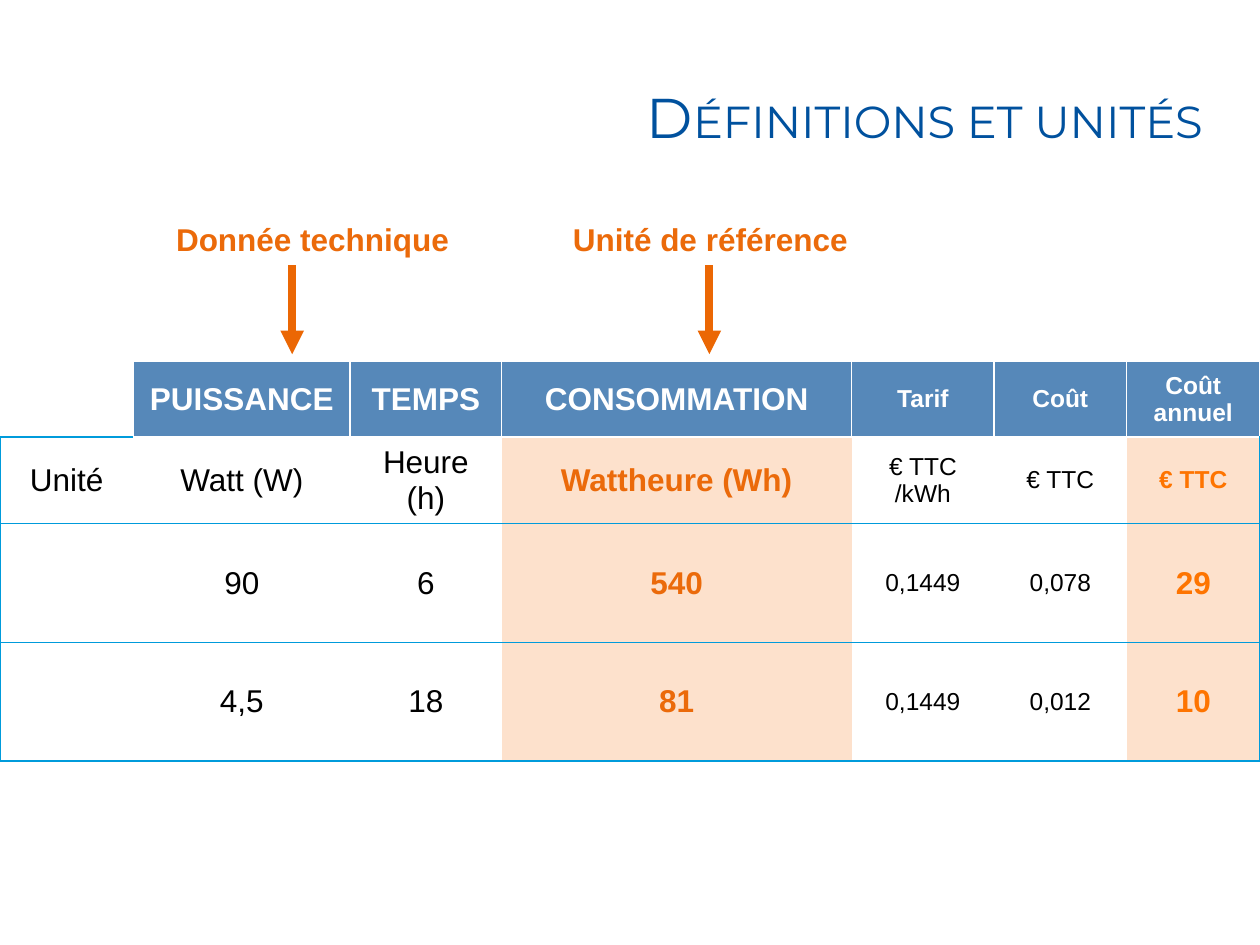
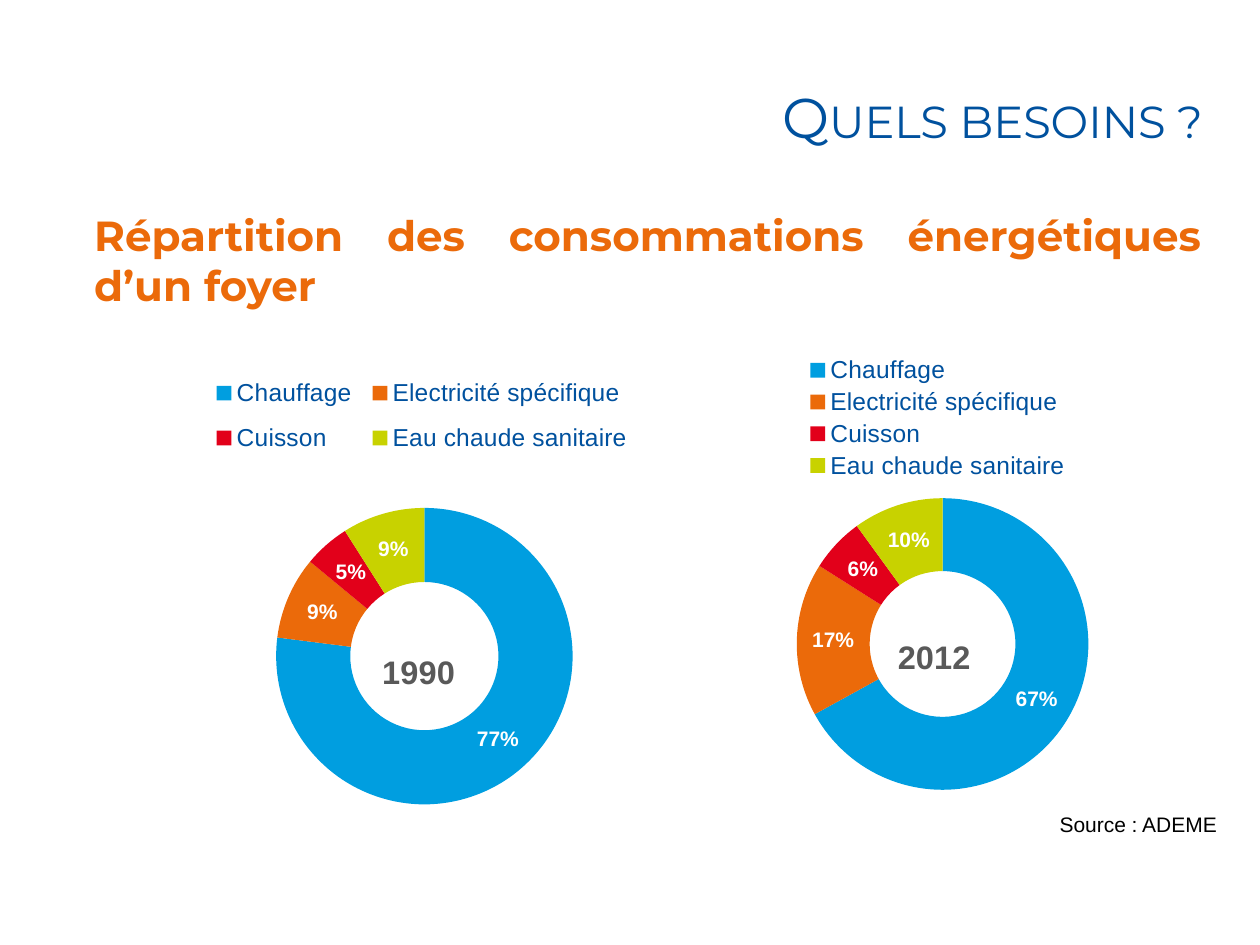
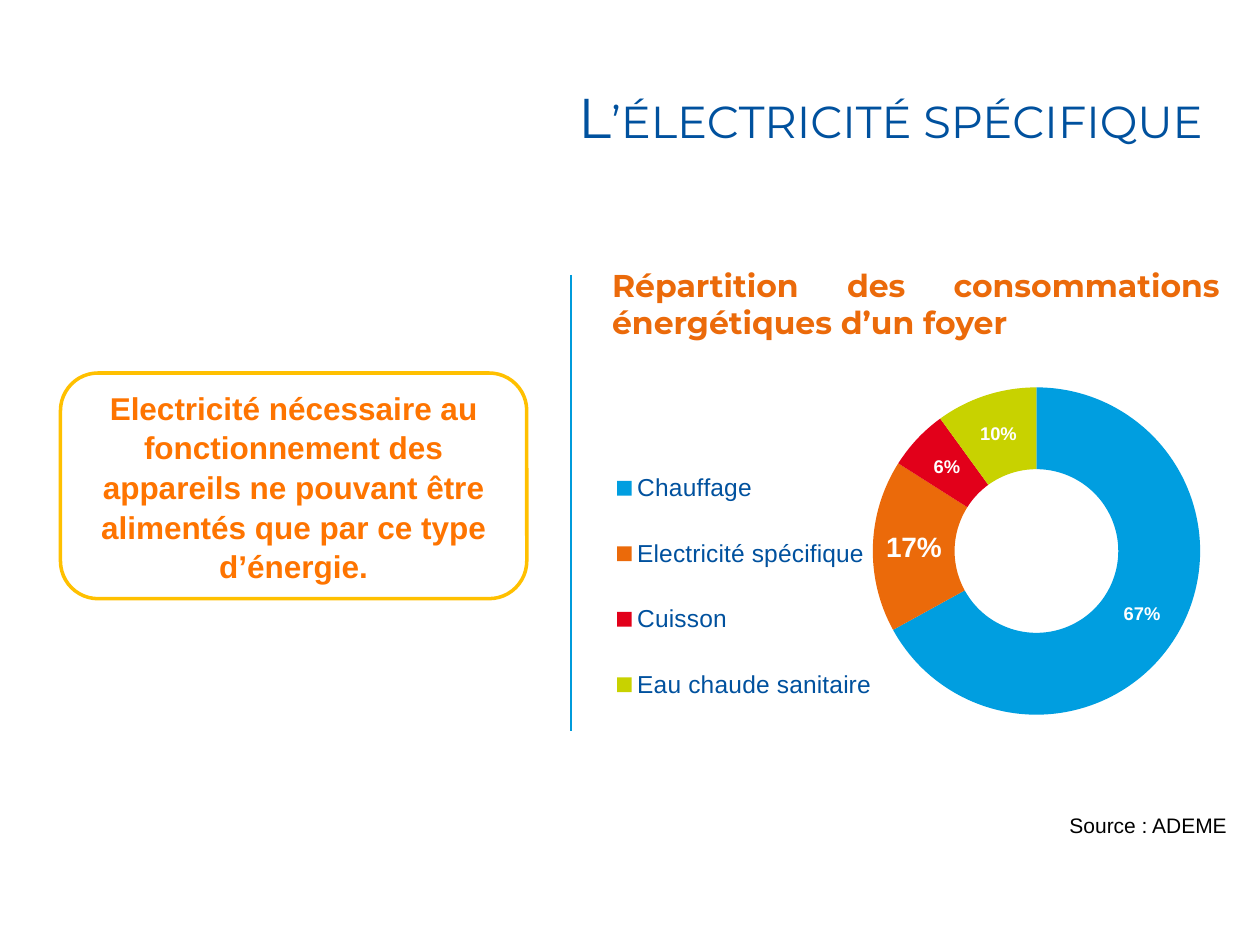
import pptx
import pptx.chart.data
import pptx.dml.color
import pptx.enum.chart
import pptx.enum.shapes
import pptx.enum.text
import pptx.oxml
import pptx.oxml.ns
import pptx.util

Cm = pptx.util.Cm
Pt = pptx.util.Pt
RGBColor = pptx.dml.color.RGBColor
PP_ALIGN = pptx.enum.text.PP_ALIGN
ANCHOR = pptx.enum.text.MSO_ANCHOR
qn = pptx.oxml.ns.qn

# Shared colours and fonts
BLUE = RGBColor(0x00, 0x51, 0x9E)
LINE_BLUE = RGBColor(0x00, 0x9B, 0xDB)
HEADER_BLUE = RGBColor(0x56, 0x88, 0xB9)
ORANGE = RGBColor(0xEB, 0x6A, 0x0A)
ARROW_ORANGE = RGBColor(0xEB, 0x67, 0x04)
BRIGHT_ORANGE = RGBColor(0xFE, 0x74, 0x00)
PALE_ORANGE = RGBColor(0xFD, 0xE1, 0xCC)
GOLD = RGBColor(0xFF, 0xC0, 0x00)
GREY = RGBColor(0x59, 0x59, 0x59)
BLACK = RGBColor(0, 0, 0)
WHITE = RGBColor(0xFF, 0xFF, 0xFF)
SLICE_COLOURS = (RGBColor(0x00, 0x9E, 0xE0), ORANGE,
                 RGBColor(0xE2, 0x00, 0x1A), RGBColor(0xC8, 0xD2, 0x00))
BODY_FONT = "Arial"
TITLE_FONT = "Montserrat"

# Shared content
USES = ("Chauffage", "Electricité spécifique", "Cuisson", "Eau chaude sanitaire")
SHARES_1990 = (77, 9, 5, 9)
SHARES_2012 = (67, 17, 6, 10)
BREAKDOWN = "Répartition des consommations énergétiques d’un foyer"
SOURCE = "Source : ADEME"

# Table of units
TABLE_ROWS = (
    ("", "PUISSANCE", "TEMPS", "CONSOMMATION", "Tarif", "Coût", "Coût annuel"),
    ("Unité", "Watt (W)", "Heure (h)", "Wattheure (Wh)", "€ TTC /kWh", "€ TTC", "€ TTC"),
    ("", "90", "6", "540", "0,1449", "0,078", "29"),
    ("", "4,5", "18", "81", "0,1449", "0,012", "10"),
)
COLUMN_WIDTHS = (2.69, 4.37, 3.05, 7.06, 2.87, 2.67, 2.69)
ROW_HEIGHTS = (1.52, 1.75, 2.39, 2.39)
HIGHLIGHTS = {3: ORANGE, 6: BRIGHT_ORANGE}
NO_TABLE_STYLE = "{2D5ABB26-0587-4C30-8999-92F81FD0307C}"


def style_font(font, size, colour, bold=False, name=BODY_FONT):
    font.name = name
    font.size = Pt(size)
    font.bold = bold
    font.color.rgb = colour


def write_text(frame, text, size, colour, bold=False, name=BODY_FONT,
               align=PP_ALIGN.LEFT):
    frame.word_wrap = True
    frame.text = text
    para = frame.paragraphs[0]
    para.alignment = align
    for span in para.runs:
        style_font(span.font, size, colour, bold, name)
    return para


def add_page(deck, title):
    page = deck.slides.add_slide(deck.slide_layouts[5])
    box = page.shapes.title
    box.left, box.top, box.width, box.height = Cm(4.5), Cm(0.76), Cm(20), Cm(3.15)
    box.text_frame.vertical_anchor = ANCHOR.MIDDLE
    para = write_text(box.text_frame, title, 32, BLUE,
                      name=TITLE_FONT, align=PP_ALIGN.RIGHT)
    para.runs[0].font._element.set("cap", "small")
    return page


def add_text(page, left, top, width, height, text, size, colour, **style):
    box = page.shapes.add_textbox(Cm(left), Cm(top), Cm(width), Cm(height))
    write_text(box.text_frame, text, size, colour, **style)


def add_subtitle(page, left, top, width, size):
    add_text(page, left, top, width, 2.5, BREAKDOWN, size, ORANGE, bold=True,
             name=TITLE_FONT, align=PP_ALIGN.JUSTIFY)


def add_source(page, left, top):
    add_text(page, left, top, 3.86, 0.76, SOURCE, 12, BLACK)


def add_vertical_line(page, x, top, bottom, colour, width, arrow=False):
    line = page.shapes.add_connector(pptx.enum.shapes.MSO_CONNECTOR.STRAIGHT,
                                     Cm(x), Cm(top), Cm(x), Cm(bottom))
    line.line.color.rgb = colour
    line.line.width = Pt(width)
    properties = line._element.spPr
    if arrow:
        tail = properties.find(qn("a:ln")).makeelement(qn("a:tailEnd"), {"type": "triangle"})
        properties.find(qn("a:ln")).append(tail)
    properties.append(properties.makeelement(qn("a:effectLst"), {}))


def set_borders(cell, colours):
    """Draw the given sides; python-pptx has no public border call."""
    properties = cell._tc.get_or_add_tcPr()
    borders = []
    for side in ("L", "R", "T", "B"):
        if side in colours:
            colour = colours[side]
            width = Pt(1) if colour == WHITE else Pt(0.75)
            borders.append(pptx.oxml.parse_xml(
                f'<a:ln{side} {pptx.oxml.ns.nsdecls("a")} w="{int(width)}">'
                f'<a:solidFill><a:srgbClr val="{colour}"/></a:solidFill></a:ln{side}>'))
    for index, border in enumerate(borders):
        properties.insert(index, border)


def format_cell(cell, text, row, column):
    last = len(COLUMN_WIDTHS) - 1
    highlighted = column in HIGHLIGHTS
    small = column > 3 and not (column == last and row > 1)
    header = row == 0
    colour = WHITE if header else HIGHLIGHTS.get(column, BLACK)
    write_text(cell.text_frame, text, 14 if small else 18, colour,
               bold=header or highlighted, align=PP_ALIGN.CENTER)
    cell.vertical_anchor = ANCHOR.MIDDLE

    if header or highlighted:
        cell.fill.solid()
        cell.fill.fore_color.rgb = PALE_ORANGE if not header else (
            HEADER_BLUE if column else WHITE)
    else:
        cell.fill.background()

    if header:
        borders = dict.fromkeys("LRT", WHITE)
        borders["B"] = WHITE if column else LINE_BLUE
    else:
        borders = {"T": WHITE if row == 1 and column else LINE_BLUE, "B": LINE_BLUE}
        if column == 0:
            borders["L"] = LINE_BLUE
        if column == last:
            borders["R"] = LINE_BLUE
    set_borders(cell, borders)


def add_units_table(page):
    frame = page.shapes.add_table(len(TABLE_ROWS), len(COLUMN_WIDTHS), Cm(0), Cm(7.29),
                                  Cm(sum(COLUMN_WIDTHS)), Cm(sum(ROW_HEIGHTS)))
    table = frame.table
    table._tbl.tblPr.find(qn("a:tableStyleId")).text = NO_TABLE_STYLE
    table.horz_banding = False
    for column, width in zip(table.columns, COLUMN_WIDTHS):
        column.width = Cm(width)
    for row, height in zip(table.rows, ROW_HEIGHTS):
        row.height = Cm(height)
    for row, texts in enumerate(TABLE_ROWS):
        for column, text in enumerate(texts):
            format_cell(table.cell(row, column), text, row, column)


def set_layout(element, x, y, width=None, height=None, inner=False):
    """Place a chart part by fractions of the chart's size."""
    values = [("layoutTarget", "inner")] if inner else []
    values += [("xMode", "edge"), ("yMode", "edge"), ("x", x), ("y", y)]
    if width:
        values += [("w", width), ("h", height)]
    content = "".join(f'<c:{name} val="{value}"/>' for name, value in values)
    layout = pptx.oxml.parse_xml(
        f'<c:layout {pptx.oxml.ns.nsdecls("c")}><c:manualLayout>{content}'
        '</c:manualLayout></c:layout>')
    for previous in element.findall(qn("c:layout")):
        element.remove(previous)
    overlay = element.find(qn("c:overlay"))
    if overlay is None:
        element.insert(0, layout)
    else:
        overlay.addprevious(layout)


def add_doughnut(page, area, name, shares, plot_area, legend_area, label_size,
                 title_place=None):
    data = pptx.chart.data.CategoryChartData()
    data.categories = USES
    data.add_series(name, shares)
    chart = page.shapes.add_chart(pptx.enum.chart.XL_CHART_TYPE.DOUGHNUT,
                                  *map(Cm, area), data).chart
    style_font(chart.font, 10, BLACK)

    # Year in the hole
    chart.has_title = title_place is not None
    if title_place:
        title = chart.chart_title
        write_text(title.text_frame, name, 18.6, GREY, bold=True, align=PP_ALIGN.CENTER)
        set_layout(title._element, *title_place)
        title._element.find(qn("c:overlay")).set("val", "1")

    # Legend
    chart.has_legend = True
    chart.legend.position = pptx.enum.chart.XL_LEGEND_POSITION.TOP
    chart.legend.include_in_layout = False
    style_font(chart.legend.font, 14, BLUE)
    set_layout(chart.legend._element, *legend_area)

    # Slices and their labels
    plot = chart.plots[0]
    plot.vary_by_categories = True
    set_layout(chart._chartSpace.chart.plotArea, *plot_area, inner=True)
    series = plot.series[0]
    for index, colour in enumerate(SLICE_COLOURS):
        fill = series.points[index].format.fill
        fill.solid()
        fill.fore_color.rgb = colour
    labels = series.data_labels
    labels.show_value = False
    labels.show_percentage = True
    labels.number_format = "0%"
    labels.number_format_is_linked = False
    style_font(labels.font, label_size, WHITE, bold=True)
    return series


def enlarge_label(series, index, size):
    label = series.points[index].data_label
    style_font(label.font, size, WHITE, bold=True)
    element = series.data_labels._element.find(qn("c:dLbl"))
    element.find(qn("c:showVal")).set("val", "0")
    element.find(qn("c:showPercent")).set("val", "1")


def add_definition(page, text):
    box = page.shapes.add_shape(pptx.enum.shapes.MSO_SHAPE.ROUNDED_RECTANGLE,
                                Cm(1.22), Cm(7.52), Cm(9.4), Cm(4.55))
    box.shadow.inherit = False
    box.fill.solid()
    box.fill.fore_color.rgb = WHITE
    box.line.color.rgb = GOLD
    box.line.width = Pt(2)
    box.text_frame.vertical_anchor = ANCHOR.MIDDLE
    para = write_text(box.text_frame, text, 18, BRIGHT_ORANGE, bold=True,
                      align=PP_ALIGN.CENTER)
    para.line_spacing = 1.05


def build_units(deck):
    page = add_page(deck, "Définitions et unités")
    add_units_table(page)
    for text, left, arrow_x in (("Donnée technique", 3.3, 5.89),
                                ("Unité de référence", 11.3, 14.3)):
        add_text(page, left, 4.32, 7.19, 1.02, text, 18, ORANGE, bold=True)
        add_vertical_line(page, arrow_x, 5.35, 7.14, ARROW_ORANGE, 4.5, arrow=True)


def build_needs(deck):
    page = add_page(deck, "Quels besoins ?")
    add_doughnut(page, (13.08, 6.81, 10.21, 9.8), "2012", SHARES_2012,
                 (0.29, 0.33, 0.58, 0.6), (0.3, 0.03, 0.54, 0.27), 12, (0.48, 0.6))
    add_doughnut(page, (3.4, 6.81, 10.21, 9.8), "1990", SHARES_1990,
                 (0.21, 0.35, 0.59, 0.61), (0.07, 0.05, 0.86, 0.22), 12, (0.41, 0.63))
    add_subtitle(page, 1.65, 4.09, 22.81, 24)
    add_source(page, 21.11, 16.23)


def build_specific(deck):
    page = add_page(deck, "L’électricité spécifique")
    add_definition(page, "Electricité nécessaire au fonctionnement des appareils "
                         "ne pouvant être alimentés que par ce type d’énergie.")
    series = add_doughnut(page, (12.09, 5.72, 12.4, 11), "Series 1", SHARES_2012,
                          (0.53, 0.19, 0.58, 0.6), (0.01, 0.28, 0.45, 0.55), 10.5)
    enlarge_label(series, 1, 16)
    add_source(page, 21.31, 16.26)
    add_subtitle(page, 12.09, 5.23, 12.75, 18)
    add_vertical_line(page, 11.51, 5.54, 14.73, LINE_BLUE, 0.75)


def main():
    deck = pptx.Presentation()
    deck.slide_width = Cm(25.4)
    deck.slide_height = Cm(19.05)
    build_units(deck)
    build_needs(deck)
    build_specific(deck)
    deck.save("out.pptx")


if __name__ == "__main__":
    main()
